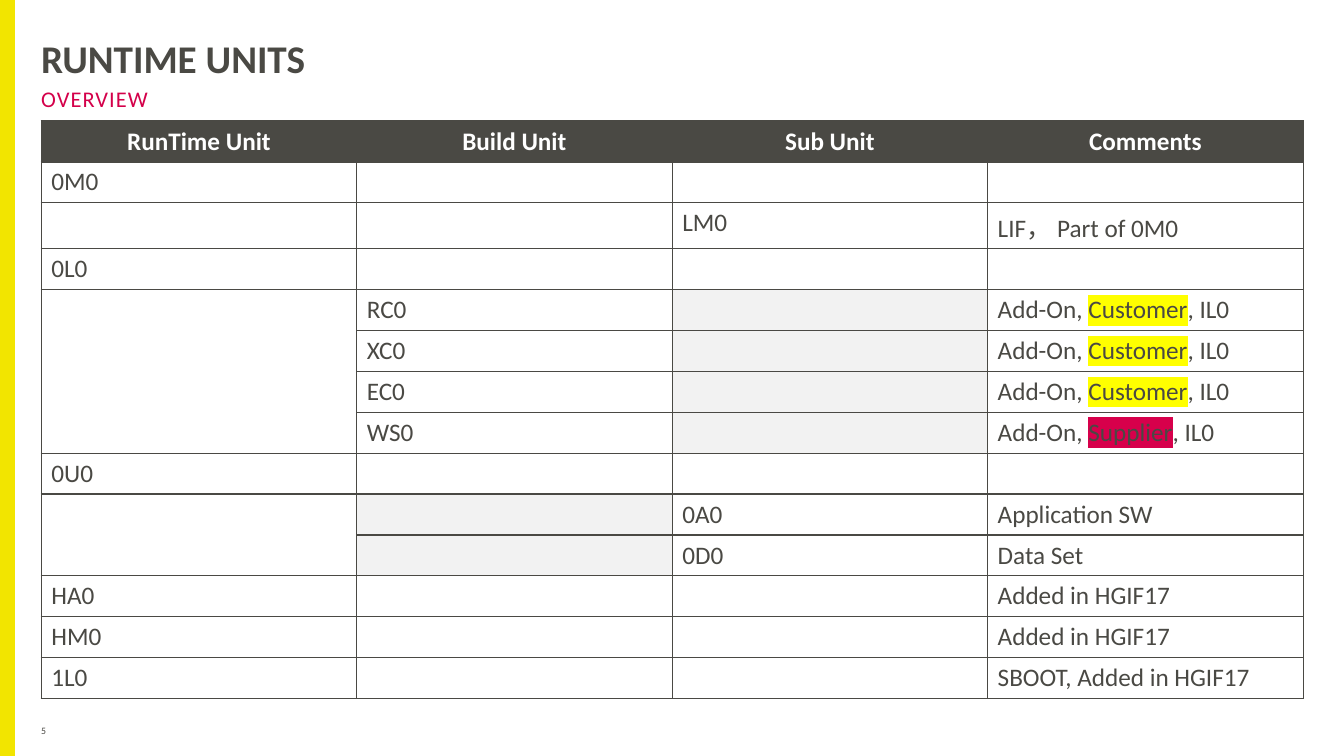
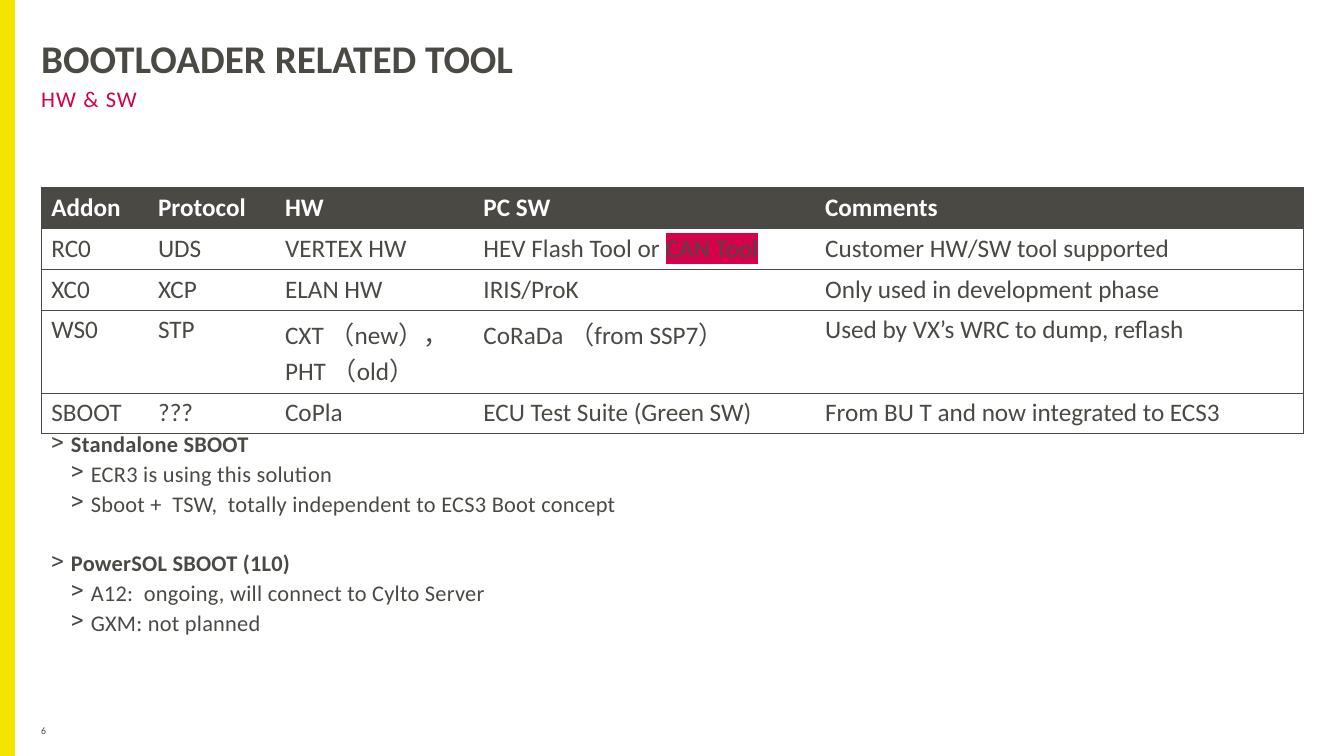
import pptx
import pptx.util
import pptx.dml.color
import pptx.enum.shapes
import pptx.enum.text
import pptx.oxml
import pptx.oxml.ns
import lxml.etree

Cm = pptx.util.Cm
Pt = pptx.util.Pt
RGBColor = pptx.dml.color.RGBColor
qn = pptx.oxml.ns.qn

DARK = RGBColor(0x4A, 0x49, 0x44)
PINK = RGBColor(0xD4, 0x00, 0x4A)
YELLOW = RGBColor(0xF2, 0xE5, 0x00)
GREY = RGBColor(0xF2, 0xF2, 0xF2)
WHITE = RGBColor(0xFF, 0xFF, 0xFF)
MARK_YELLOW = RGBColor(0xFF, 0xFF, 0x00)
MARK_PINK = RGBColor(0xD7, 0x00, 0x4B)
MARKS = {"Customer": MARK_YELLOW, "Supplier": MARK_PINK, "CAN Tool": MARK_PINK}
FONT = "Calibri"
NO_STYLE = "{2D5ABB26-0587-4C30-8999-92F81FD0307C}"
LEFT, WIDTH, ROW_HEIGHT = Cm(1.04), Cm(31.8), Cm(1.03)


def style_run(span, size, color, bold=False, spacing=0):
    span.font.name = FONT
    span.font.size = Pt(size)
    span.font.bold = bold
    span.font.color.rgb = color
    if spacing:
        span._r.get_or_add_rPr().set("spc", str(spacing))


def add_grid(page, top, widths, rows, tall_rows, line_width, inner_columns):
    table = page.shapes.add_table(
        len(rows), len(widths), LEFT, top, WIDTH, ROW_HEIGHT * len(rows)).table
    table._tbl.tblPr.find(qn("a:tableStyleId")).text = NO_STYLE
    for column, width in zip(table.columns, widths):
        column.width = Cm(width)
    for row_index, row in enumerate(rows):
        table.rows[row_index].height = tall_rows.get(row_index, ROW_HEIGHT)
        header = row_index == 0
        for column_index, text in enumerate(row):
            cell = table.cell(row_index, column_index)
            if header:
                cell.fill.solid()
                cell.fill.fore_color.rgb = DARK
            else:
                cell.fill.background()
            para = cell.text_frame.paragraphs[0]
            for part_index, part in enumerate(text.split("*")):
                if not part:
                    continue
                span = para.add_run()
                span.text = part
                style_run(span, 18, WHITE if header else DARK, bold=header)
                if part_index % 2:
                    mark = lxml.etree.Element(qn("a:highlight"))
                    lxml.etree.SubElement(mark, qn("a:srgbClr"), val=str(MARKS[part]))
                    span._r.rPr.find(qn("a:solidFill")).addnext(mark)
            sides = ["a:lnT", "a:lnB"]
            if inner_columns or column_index == len(row) - 1:
                sides.insert(0, "a:lnR")
            if inner_columns or column_index == 0:
                sides.insert(0, "a:lnL")
            properties = cell._tc.get_or_add_tcPr()
            for position, side in enumerate(sides):
                line = lxml.etree.Element(qn(side), w=str(Pt(line_width)))
                fill = lxml.etree.SubElement(line, qn("a:solidFill"))
                lxml.etree.SubElement(fill, qn("a:srgbClr"), val=str(DARK))
                properties.insert(position, line)
    return table


deck = pptx.Presentation()
deck.slide_width, deck.slide_height = Cm(33.87), Cm(19.05)

pages = []
for title, subtitle, number in [
    ("RUNTIME UNITS", "OVERVIEW", "5"),
    ("BOOTLOADER RELATED TOOL", "HW & SW", "6"),
]:
    page = deck.slides.add_slide(deck.slide_layouts[6])
    pages.append(page)
    band = page.shapes.add_shape(
        pptx.enum.shapes.MSO_SHAPE.RECTANGLE, 0, 0, Cm(0.38), deck.slide_height)
    band.shadow.inherit = False
    band.fill.solid()
    band.fill.fore_color.rgb = YELLOW
    band.line.fill.background()
    for text, top, width, height, size, color, bold, spacing, wrap in [
        (title, 0.99, 31.8, 1.02, 28, DARK, True, 0, True),
        (subtitle, 2.15, 31.8, 0.79, 16, PINK, False, 80, True),
        (number, 18.26, 0.99, 0.51, 7, DARK, False, 30, False),
    ]:
        box = page.shapes.add_textbox(LEFT, Cm(top), Cm(width), Cm(height))
        frame = box.text_frame
        frame.word_wrap = wrap
        frame.margin_left = frame.margin_right = 0
        frame.margin_top = frame.margin_bottom = 0
        frame.text = text
        if text == title:
            frame.paragraphs[0].line_spacing = 0.9
        style_run(frame.paragraphs[0].runs[0], size, color, bold, spacing)

units_page, tools_page = pages

units = add_grid(units_page, Cm(3.05), [7.95] * 4, [
    ("RunTime Unit", "Build Unit", "Sub Unit", "Comments"),
    ("0M0", "", "", ""),
    ("", "", "LM0", "LIF， Part of 0M0"),
    ("0L0", "", "", ""),
    ("", "RC0", "", "Add-On, *Customer*, IL0"),
    ("", "XC0", "", "Add-On, *Customer*, IL0"),
    ("", "EC0", "", "Add-On, *Customer*, IL0"),
    ("", "WS0", "", "Add-On, *Supplier*, IL0"),
    ("0U0", "", "", ""),
    ("", "", "0A0", "Application SW"),
    ("", "", "0D0", "Data Set"),
    ("HA0", "", "", "Added in HGIF17"),
    ("HM0", "", "", "Added in HGIF17"),
    ("1L0", "", "", "SBOOT, Added in HGIF17"),
], {2: Cm(1.16)}, 1, True)
for cell in units.rows[0].cells:
    cell.vertical_anchor = pptx.enum.text.MSO_ANCHOR.MIDDLE
    cell.text_frame.paragraphs[0].alignment = pptx.enum.text.PP_ALIGN.CENTER
for first, last, grey_column in [(4, 7, 2), (9, 10, 1)]:
    units.cell(first, 0).merge(units.cell(last, 0))
    for row_index in range(first, last + 1):
        cell = units.cell(row_index, grey_column)
        cell.fill.solid()
        cell.fill.fore_color.rgb = GREY

add_grid(tools_page, Cm(4.72), [2.69, 3.2, 5, 8.61, 12.3], [
    ("Addon", "Protocol", "HW", "PC SW", "Comments"),
    ("RC0", "UDS", "VERTEX HW", "HEV Flash Tool or *CAN Tool*",
     "Customer HW/SW tool supported"),
    ("XC0", "XCP", "ELAN HW", "IRIS/ProK", "Only used in development phase"),
    ("WS0", "STP", "CXT （new），PHT （old）", "CoRaDa （from SSP7）",
     "Used by VX’s WRC to dump, reflash"),
    ("SBOOT", "???", "CoPla", "ECU Test Suite (Green SW)",
     "From BU T and now integrated to ECS3"),
], {3: Cm(2.09)}, 0.5, False)

notes_box = tools_page.shapes.add_textbox(LEFT, Cm(10.72), WIDTH, Cm(6.3))
notes_frame = notes_box.text_frame
notes_frame.word_wrap = True
notes = [
    (0, "Standalone SBOOT"),
    (1, "ECR3 is using this solution"),
    (1, "Sboot +  TSW,  totally independent to ECS3 Boot concept"),
    (0, "PowerSOL SBOOT (1L0)"),
    (1, "A12:  ongoing, will connect to Cylto Server"),
    (1, "GXM: not planned"),
]
for index, (level, text) in enumerate(notes):
    para = notes_frame.add_paragraph() if index else notes_frame.paragraphs[0]
    para.text = text
    para.level = level
    para.space_after = Pt(2)
    if index and level == 0:
        para.space_before = Pt(21.5)
    style_run(para.runs[0], 16, DARK, bold=level == 0, spacing=20)
    properties = para._p.get_or_add_pPr()
    properties.set("marL", str(Cm(0.5 * (level + 1))))
    properties.set("indent", str(-Cm(0.5)))
    lxml.etree.SubElement(properties, qn("a:buChar"), char=">")

deck.save("out.pptx")
